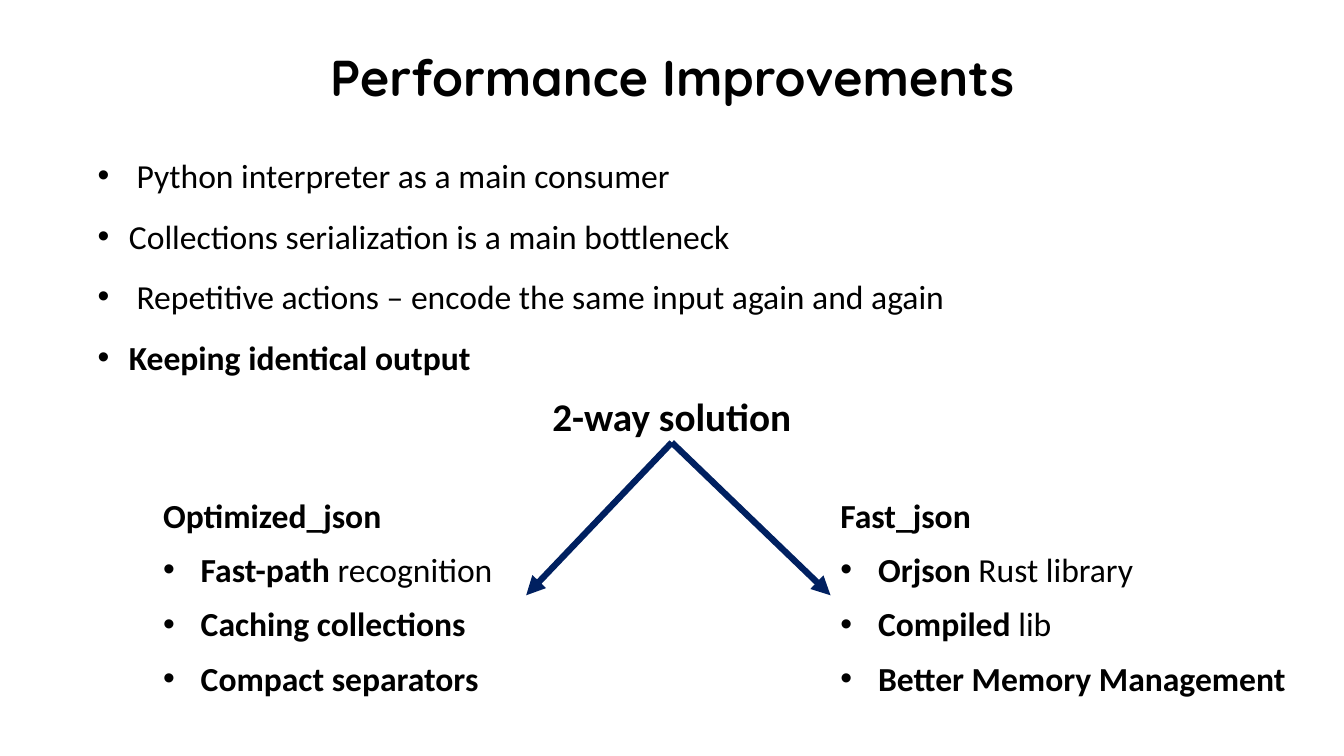
"""Build the slide on performance improvements."""
import pptx
import pptx.dml.color
import pptx.enum.shapes
import pptx.enum.text
import pptx.oxml.ns
import pptx.util
from lxml import etree

Cm = pptx.util.Cm
Pt = pptx.util.Pt
ALIGN = pptx.enum.text.PP_ALIGN
INK = "000000"
NAVY = "002060"

POINTS = [
    " Python interpreter as a main consumer",
    "Collections serialization is a main bottleneck",
    " Repetitive actions – encode the same input again and again",
    "*Keeping identical output*",
]
LEFT = [
    "*Optimized_json*",
    "*Fast-path* recognition",
    "*Caching collections*",
    "*Compact separators*",
]
RIGHT = [
    "*Fast_json*",
    "*Orjson *Rust library",
    "*Compiled *lib",
    "*Better Memory Management*",
]


def color(code):
    return pptx.dml.color.RGBColor.from_string(code)


def add(parent, tag, **attrs):
    return etree.SubElement(parent, pptx.oxml.ns.qn(tag), **attrs)


def bullet(para, indent):
    props = para._p.get_or_add_pPr()
    props.set("marL", str(Cm(indent)))
    props.set("indent", str(-Cm(indent)))
    add(props, "a:buFont", typeface="Arial")
    add(props, "a:buChar", char="•")


def write(shape, lines, size=24, font="Calibri", align=ALIGN.LEFT,
          space=1.07, after=8, indent=0.95, first=0):
    """Fill a shape with lines, bold between asterisks, bulleted from line first."""
    frame = shape.text_frame
    frame.word_wrap = True
    frame.auto_size = pptx.enum.text.MSO_AUTO_SIZE.SHAPE_TO_FIT_TEXT
    frame.vertical_anchor = pptx.enum.text.MSO_ANCHOR.TOP
    for row, line in enumerate(lines):
        para = frame.add_paragraph() if row else frame.paragraphs[0]
        para.alignment = align
        para.line_spacing = space
        para.space_after = Pt(after)
        if row >= first:
            bullet(para, indent)
        for part, text in enumerate(line.split("*")):
            if text:
                run = para.add_run()
                run.text = text
                run.font.name = font
                run.font.size = Pt(size)
                run.font.bold = part % 2 == 1
                run.font.color.rgb = color(INK)


def place(shape, left, top, width, height):
    shape.left, shape.top = Cm(left), Cm(top)
    shape.width, shape.height = Cm(width), Cm(height)


def box(slide, left, top, width, height, lines, **style):
    shape = slide.shapes.add_textbox(Cm(left), Cm(top), Cm(width), Cm(height))
    write(shape, lines, **style)
    return shape


def arrow(slide, start, end, side):
    kind = pptx.enum.shapes.MSO_CONNECTOR.STRAIGHT
    line = slide.shapes.add_connector(kind, 0, 0, 0, 0)
    line.begin_connect(start, 2)
    line.end_connect(end, side)
    line.line.color.rgb = color(NAVY)
    line.line.width = Pt(4.5)
    add(line.line._get_or_add_ln(), "a:tailEnd", type="triangle")
    add(line._element.spPr, "a:effectLst")


def main():
    deck = pptx.Presentation()
    deck.slide_width, deck.slide_height = Cm(33.87), Cm(19.05)
    slide = deck.slides.add_slide(deck.slide_layouts[5])

    title = slide.shapes.title
    place(title, 6.55, 1.04, 20.78, 1.8)
    write(title, ["*Performance Improvements*"], size=36, font="Quicksand",
          align=ALIGN.CENTER, space=1, after=0, first=1)

    box(slide, 2.21, 3.28, 25.73, 6.25, POINTS, space=1.5, after=0, indent=0.79)
    left = box(slide, 3.86, 12.27, 9.4, 5.46, LEFT, first=1)
    head = box(slide, 9.6, 9.68, 14.66, 1.47, ["*2-way solution*"], size=28,
               align=ALIGN.CENTER, first=1)
    right = box(slide, 20.93, 12.27, 12.78, 5.46, RIGHT, first=1)

    arrow(slide, head, right, 1)
    arrow(slide, head, left, 3)
    deck.save("out.pptx")


if __name__ == "__main__":
    main()
